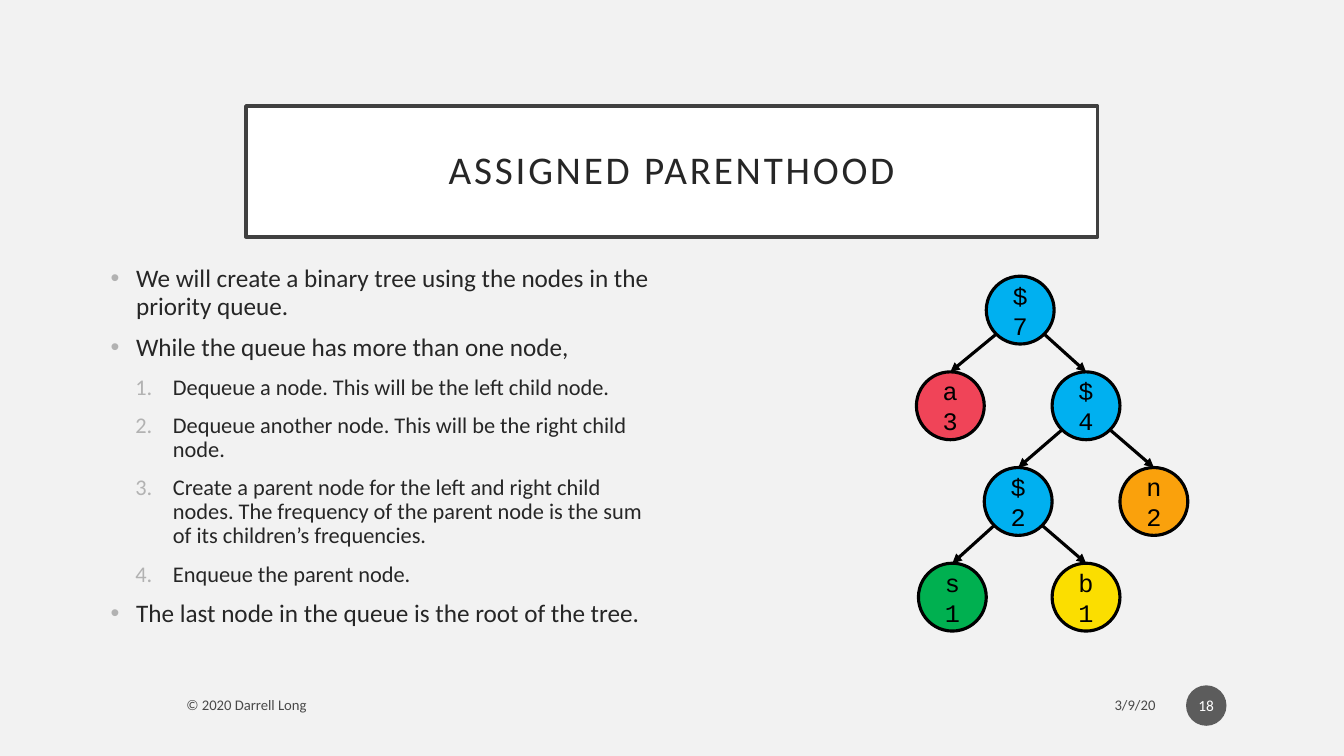
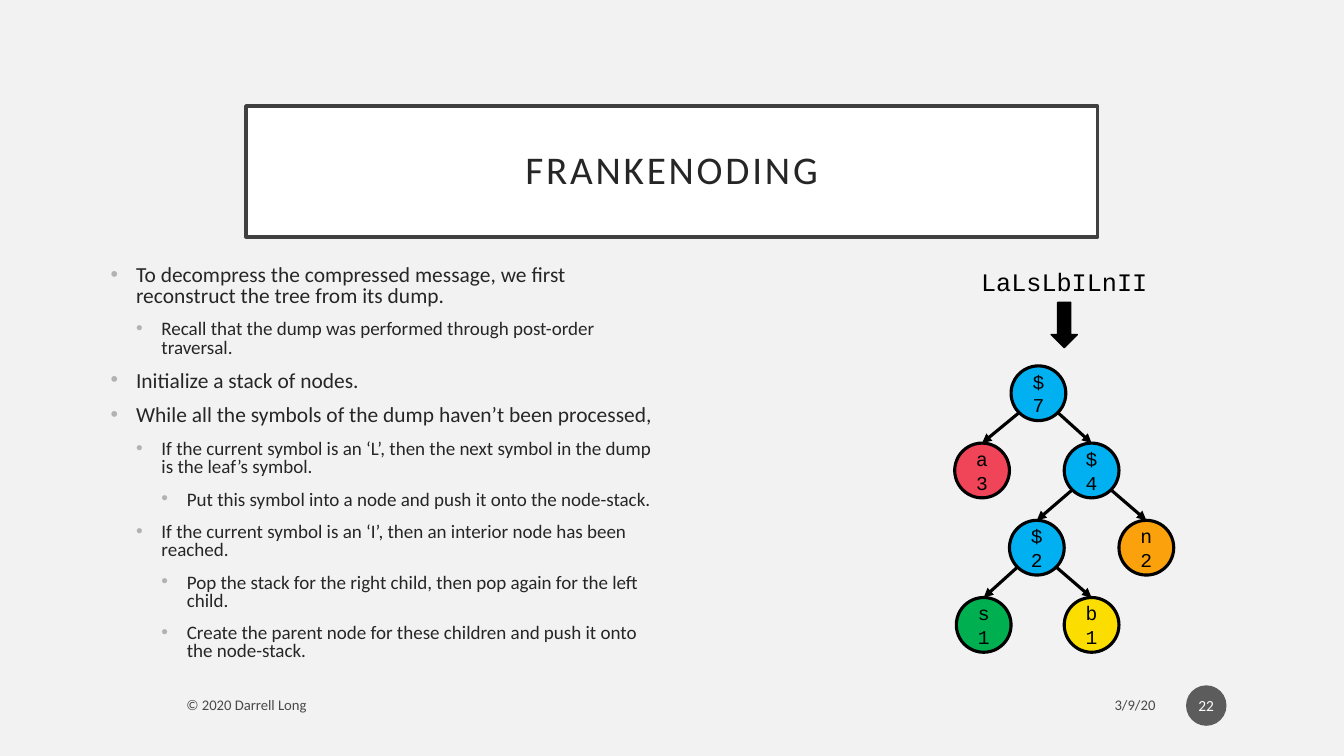
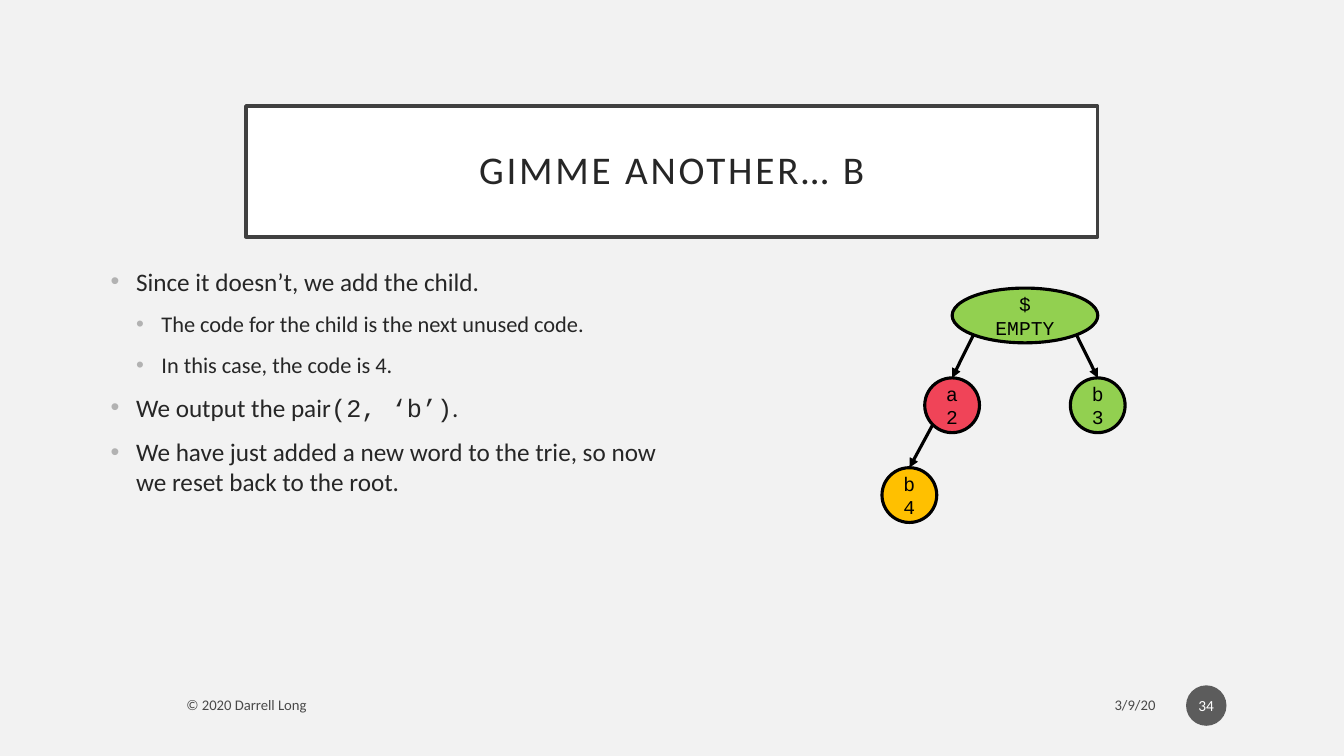
from dataclasses import dataclass
from math import sqrt

from lxml.etree import SubElement
from pptx import Presentation
from pptx.dml.color import RGBColor
from pptx.enum.shapes import MSO_CONNECTOR as Link, MSO_SHAPE as Form
from pptx.enum.text import MSO_ANCHOR as Anchor, MSO_AUTO_SIZE as Fit, PP_ALIGN as Align
from pptx.oxml.ns import qn
from pptx.util import Cm, Pt


@dataclass(frozen=True)
class Theme:
    sans: str = "Calibri"
    mono: str = "Courier New"
    back: str = "F2F2F2"
    white: str = "FFFFFF"
    black: str = "000000"
    ink: str = "262626"
    frame: str = "404040"
    bullet: str = "B2B2B2"
    badge: str = "1D1D1D"
    blue: str = "00B0F0"
    red: str = "F04458"
    orange: str = "FAA10C"
    yellow: str = "FBDE00"
    green: str = "00B050"
    lime: str = "92D050"
    amber: str = "FFC000"
    title: float = 28
    large: float = 18
    medium: float = 16
    small: float = 14
    foot: float = 10.5
    page: float = 11
    edge: float = 2.25


T = Theme()

# Tree nodes: key, parent, label, colour, column, row, width.
# Columns, rows and widths are counted in node diameters.
HUFFMAN = [
    ("root", None, "$\n7", T.blue, -0.97, 0, 1),
    ("a", "root", "a\n3", T.red, -2, 1.41, 1),
    ("four", "root", "$\n4", T.blue, 0, 1.41, 1),
    ("two", "four", "$\n2", T.blue, -1, 2.82, 1),
    ("n", "four", "n\n2", T.orange, 1, 2.82, 1),
    ("s", "two", "s\n1", T.green, -1.97, 4.23, 1),
    ("b", "two", "b\n1", T.yellow, 0, 4.23, 1),
]
TRIE = [
    ("root", None, "$\nEMPTY", T.lime, 0, 0, 2.66),
    ("a", "root", "a\n2", T.red, -1.33, 1.64, 1),
    ("b", "root", "b\n3", T.lime, 1.33, 1.64, 1),
    ("ab", "a", "b\n4", T.amber, -2.11, 3.28, 1),
]

# Body items: level, text; "#" marks a numbered step, backticks mark code.
SLIDES = [
    dict(
        title="ASSIGNED PARENTHOOD", page=18,
        sizes=(T.large, T.medium), spacing=0.9, height=9.5,
        body=[
            (0, "We will create a binary tree using the nodes in the priority queue."),
            (0, "While the queue has more than one node,"),
            ("#", "Dequeue a node. This will be the left child node."),
            ("#", "Dequeue another node. This will be the right child node."),
            ("#", "Create a parent node for the left and right child nodes. "
                  "The frequency of the parent node is the sum of its children’s frequencies."),
            ("#", "Enqueue the parent node."),
            (0, "The last node in the queue is the root of the tree."),
        ],
        tree=dict(nodes=HUFFMAN, mid=27.37, top=6.96, unit=1.71, size=T.large),
    ),
    dict(
        title="FRANKENODING", page=22,
        sizes=(15.3, 13.6, 13.6), spacing=0.8, height=11.02,
        body=[
            (0, "To decompress the compressed message, we first reconstruct the tree from its dump."),
            (1, "Recall that the dump was performed through post-order traversal."),
            (0, "Initialize a stack of nodes."),
            (0, "While all the symbols of the dump haven’t been processed,"),
            (1, "If the current symbol is an ‘L’, then the next symbol in the dump "
                "is the leaf’s symbol."),
            (2, "Put this symbol into a node and push it onto the node-stack."),
            (1, "If the current symbol is an ‘I’, then an interior node has been reached."),
            (2, "Pop the stack for the right child, then pop again for the left child."),
            (2, "Create the parent node for these children and push it onto the node-stack."),
        ],
        tree=dict(nodes=HUFFMAN, mid=27.51, top=9.22, unit=1.38, size=T.small),
        dump="LaLsLbILnII",
    ),
    dict(
        title="GIMME ANOTHER… B", page=34,
        sizes=(T.large, T.medium), spacing=1.0, height=9.5,
        body=[
            (0, "Since it doesn’t, we add the child."),
            (1, "The code for the child is the next unused code."),
            (1, "In this case, the code is 4."),
            (0, "We output the pair`(2, ‘b’)`."),
            (0, "We have just added a new word to the trie, so now we reset back to the root."),
        ],
        tree=dict(nodes=TRIE, mid=25.83, top=7.26, unit=1.38, size=T.small),
    ),
]


def rgb(code):
    return RGBColor.from_string(code)


def box(*lengths):
    return [Cm(n) for n in lengths]


def write(para, text, size, color=T.ink, font=T.sans, align=None, spacing=None, track=None):
    """Fill a paragraph; text between backticks is set in the code font."""
    para.alignment = align
    para.line_spacing = spacing
    for i, part in enumerate(text.split("`")):
        run = para.add_run()
        run.text = part
        run.font.name = T.mono if i % 2 else font
        run.font.size = Pt(size)
        run.font.color.rgb = rgb(color)
        if track:
            run._r.get_or_add_rPr().set("spc", str(track * 100))


def lines(frame, text, margins=None, anchor=Anchor.MIDDLE, **look):
    """Write each line of text as one paragraph of the frame."""
    frame.word_wrap = True
    frame.auto_size = Fit.NONE
    frame.vertical_anchor = anchor
    if margins:
        (frame.margin_left, frame.margin_top,
         frame.margin_right, frame.margin_bottom) = box(*margins)
    for i, line in enumerate(text.split("\n")):
        write(frame.add_paragraph() if i else frame.paragraphs[0], line, **look)


def paint(shape, fill, line=None, width=T.edge):
    shape.fill.solid()
    shape.fill.fore_color.rgb = rgb(fill)
    if line:
        shape.line.color.rgb = rgb(line)
        shape.line.width = Pt(width)
    else:
        shape.line.fill.background()


def form(slide, kind, place, fill, line=None, width=T.edge):
    shape = slide.shapes.add_shape(kind, *box(*place))
    shape.shadow.inherit = False
    paint(shape, fill, line, width)
    return shape


def label(slide, place, text, **look):
    shape = slide.shapes.add_textbox(*box(*place))
    lines(shape.text_frame, text, **look)
    return shape


def fade(shape):
    """Make the colours set so far 70% opaque."""
    for color in shape._element.iter(qn("a:srgbClr")):
        SubElement(color, qn("a:alpha"), val="70000")


def mark(para, level):
    """Add the indent and the bullet or number of a level."""
    step = level == "#"
    left, hang = (1.57, 0.95) if step else (0.64 * (level + 1), 0.64)
    props = para._p.get_or_add_pPr()
    props.set("marL", str(Cm(left)))
    props.set("indent", str(-Cm(hang)))
    SubElement(SubElement(props, qn("a:buClr")), qn("a:srgbClr"), val=T.bullet)
    if step:
        SubElement(props, qn("a:buFont"), typeface=T.sans)
        SubElement(props, qn("a:buAutoNum"), type="arabicPeriod")
    else:
        SubElement(props, qn("a:buFont"), typeface="Arial")
        SubElement(props, qn("a:buChar"), char="•")


def outline(slide, items, sizes, spacing, height):
    frame = slide.shapes.add_textbox(*box(2.54, 6.58, 14.4, height)).text_frame
    frame.word_wrap = True
    for i, (level, text) in enumerate(items):
        para = frame.add_paragraph() if i else frame.paragraphs[0]
        depth = 1 if level == "#" else level
        para.level = depth
        mark(para, level)
        if i:
            para.space_before = Pt(10)
        write(para, text, sizes[depth], spacing=spacing)


def arrow(slide, start, child):
    """Draw an arrow from a point to the top of a node."""
    line = slide.shapes.add_connector(Link.STRAIGHT, *start, *start)
    line.end_connect(child, 0)
    line.line.color.rgb = rgb(T.black)
    line.line.width = Pt(T.edge)
    SubElement(line.line._get_or_add_ln(), qn("a:tailEnd"), type="triangle")
    SubElement(line._element.spPr, qn("a:effectLst"))


def corner(node, side):
    """Point at 45 degrees on the lower left (-1) or right (1) of an ellipse."""
    reach = sqrt(0.5) / 2
    return (round(node.left + node.width * (0.5 + side * reach)),
            round(node.top + node.height * (0.5 + reach)))


def grow(slide, nodes, mid, top, unit, size):
    """Draw a tree of ellipses joined by arrows."""
    made = {}
    for key, above, text, fill, col, row, wide in nodes:
        place = (mid + (col - wide / 2) * unit, top + row * unit, wide * unit, unit)
        node = made[key] = form(slide, Form.OVAL, place, fill, T.black)
        lines(node.text_frame, text, margins=(0, 0, 0, 0), size=size,
              color=T.black, font=T.mono, align=Align.CENTER)
        if above:
            parent = made[above]
            side = -1 if node.left + node.width / 2 < parent.left + parent.width / 2 else 1
            arrow(slide, corner(parent, side), node)


def head(slide, text):
    title = slide.shapes.title
    title.left, title.top, title.width, title.height = box(6.2, 2.67, 21.46, 3.3)
    paint(title, T.white, T.frame, 2.5)
    lines(title.text_frame, text, margins=(0.5,) * 4, size=T.title,
          align=Align.CENTER, spacing=0.9, track=2)


def foot(slide, page):
    notes = [(21.72, 7.65, "3/9/20", Align.RIGHT),
             (4.45, 16.38, "© 2020 Darrell Long", Align.LEFT)]
    for left, width, text, align in notes:
        fade(label(slide, (left, 17.32, width, 0.89), text,
                   size=T.foot, color=T.black, align=align))
    badge = form(slide, Form.OVAL, (29.89, 17.27, 1.02, 1.02), T.badge)
    fade(badge)
    lines(badge.text_frame, str(page), margins=(0.05, 0.13, 0.05, 0.13),
          size=T.page, color=T.white, align=Align.CENTER)


def main():
    deck = Presentation()
    deck.slide_width, deck.slide_height = box(33.87, 19.05)
    back = deck.slide_master.background.fill
    back.solid()
    back.fore_color.rgb = rgb(T.back)
    for data in SLIDES:
        slide = deck.slides.add_slide(deck.slide_layouts[5])
        head(slide, data["title"])
        outline(slide, data["body"], data["sizes"], data["spacing"], data["height"])
        if "dump" in data:
            label(slide, (23.24, 6.58, 7.16, 1.02), data["dump"], anchor=Anchor.TOP,
                  size=T.large, color=T.black, font=T.mono, align=Align.CENTER)
            form(slide, Form.DOWN_ARROW, (26.49, 7.62, 0.66, 1.14), T.black, T.black, 1)
        grow(slide, **data["tree"])
        foot(slide, data["page"])
    deck.save("out.pptx")


if __name__ == "__main__":
    main()
